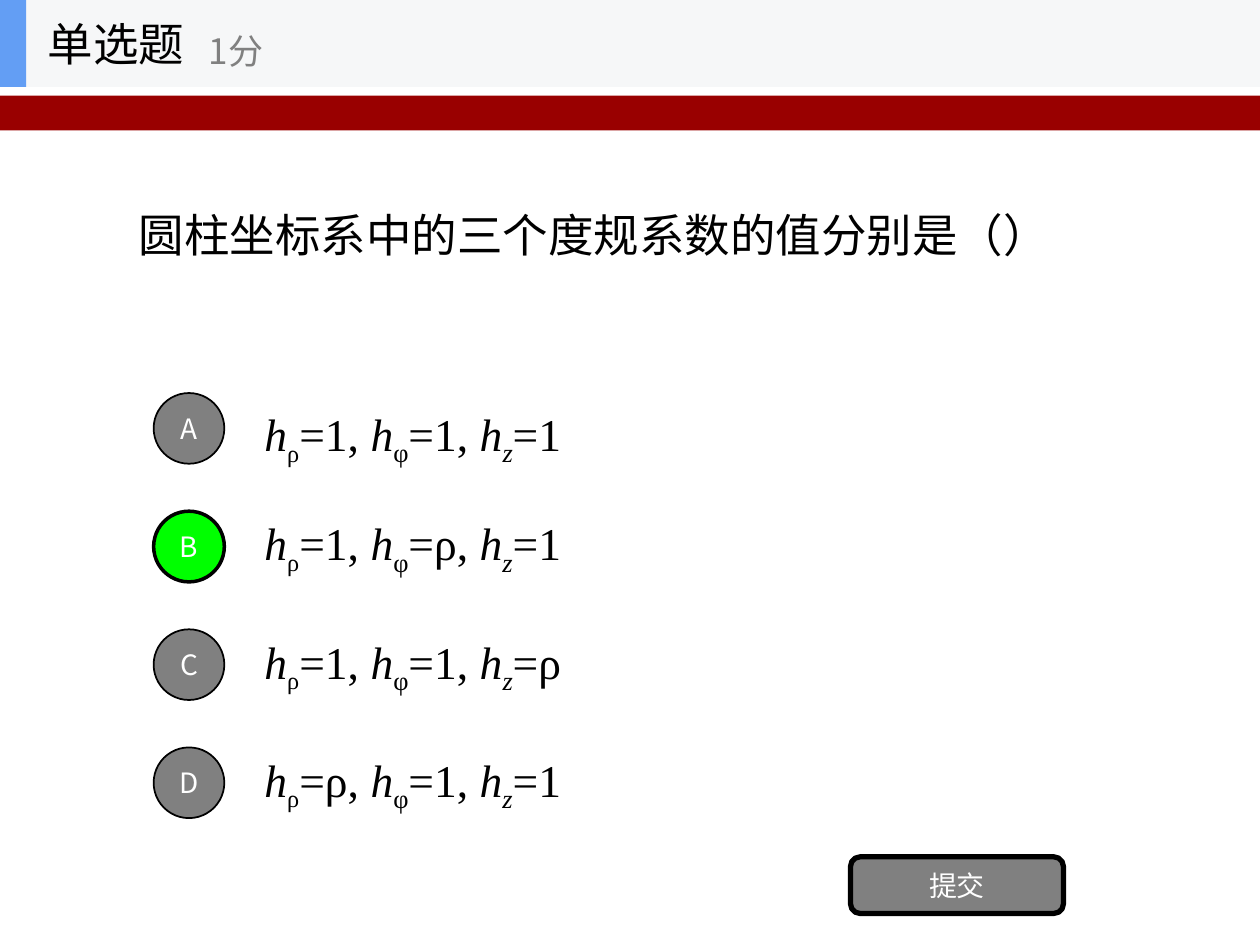
"""Build a single-choice quiz slide on the scale factors of cylindrical coordinates."""
from dataclasses import dataclass

from lxml.etree import SubElement
from pptx import Presentation
from pptx.dml.color import RGBColor
from pptx.enum.shapes import MSO_SHAPE
from pptx.enum.text import MSO_ANCHOR, MSO_AUTO_SIZE, PP_ALIGN
from pptx.oxml.ns import qn
from pptx.util import Pt


@dataclass(frozen=True)
class Theme:
    black: str = "000000"
    white: str = "FFFFFF"
    gray: str = "808080"
    correct: str = "00FF00"
    banner: str = "990000"
    header: str = "F6F7F8"
    accent: str = "639EF4"
    cjk: str = "Noto Sans CJK SC"
    math: str = "Times New Roman"
    body: int = 26
    subscript: int = 24
    points: int = 20
    button: int = 16


def add_text(holder, runs, font, color, align=PP_ALIGN.LEFT):
    frame = holder.text_frame
    frame.word_wrap = True
    frame.auto_size = MSO_AUTO_SIZE.NONE
    frame.vertical_anchor = MSO_ANCHOR.MIDDLE
    paragraph = frame.paragraphs[0]
    paragraph.alignment = align
    for text, size, italic, baseline in runs:
        run = paragraph.add_run()
        run.text = text
        run.font.size = Pt(size)
        run.font.name = font
        run.font.italic = italic
        run.font.color.rgb = RGBColor.from_string(color)
        properties = run.font._element
        SubElement(properties, qn("a:ea")).set("typeface", font)
        if baseline:
            properties.set("baseline", str(baseline * 1000))


def add_block(shapes, kind, box, fill, line_width=0):
    block = shapes.add_shape(kind, *map(Pt, box))
    block.shadow.inherit = False
    block.fill.solid()
    block.fill.fore_color.rgb = RGBColor.from_string(fill)
    if line_width:
        block.line.color.rgb = RGBColor.from_string(theme.black)
        block.line.width = Pt(line_width)
    else:
        block.line.fill.background()
    return block


theme = Theme()
deck = Presentation()
deck.slide_width, deck.slide_height = Pt(720), Pt(540)
slide = deck.slides.add_slide(deck.slide_layouts[5])
shapes = slide.shapes

question = shapes.title
question.left, question.top, question.width, question.height = map(Pt, (72, 49.7, 576, 168.5))
add_text(question, [("圆柱坐标系中的三个度规系数的值分别是（）", theme.body, False, 0)],
         theme.cjk, theme.black)

for band, color in [
    ((0, 54.7, 720, 19.8), theme.banner),
    ((0, 0, 720, 49.7), theme.header),
    ((0, 0, 15, 49.7), theme.accent),
]:
    add_block(shapes, MSO_SHAPE.RECTANGLE, band, color)

for label, box, size, color in [
    ("单选题", (20.2, 0, 150, 49.7), theme.body, theme.black),
    ("1分", (112.3, 8.6, 180, 40.3), theme.points, theme.gray),
]:
    header_label = shapes.add_textbox(*map(Pt, box))
    add_text(header_label, [(label, size, False, 0)], theme.cjk, color)

first_top, row_pitch, diameter, answer_height = 224.6, 67.5, 40.4, 50.4
answers = [("A", "1", "1", "1"), ("B", "1", "ρ", "1"), ("C", "1", "1", "ρ"), ("D", "ρ", "1", "1")]
for row, (letter, h_rho, h_phi, h_z) in enumerate(answers):
    top = first_top + row * row_pitch
    is_correct = letter == "B"
    marker = add_block(shapes, MSO_SHAPE.OVAL, (87.8, top, diameter, diameter),
                       theme.correct if is_correct else theme.gray, 2 if is_correct else 1)
    add_text(marker, [(letter, theme.button, False, 0)], theme.cjk, theme.white, PP_ALIGN.CENTER)

    answer_top = top - (answer_height - diameter) / 2 if row else top
    answer = shapes.add_textbox(Pt(144), Pt(answer_top), Pt(504), Pt(answer_height))
    formula = []
    for index, size, italic, value in [
        ("ρ", theme.subscript, False, f"={h_rho}, "),
        ("φ", theme.body, False, f"={h_phi}, "),
        ("z", theme.body, True, f"={h_z}"),
    ]:
        formula += [("h", theme.body, True, 0), (index, size, italic, -25),
                    (value, theme.body, False, 0)]
    add_text(answer, formula, theme.math, theme.black)

submit = add_block(shapes, MSO_SHAPE.ROUNDED_RECTANGLE, (486, 489.6, 121.7, 32.4), theme.gray, 3)
submit.adjustments[0] = 0.17
add_text(submit, [("提交", theme.button, False, 0)], theme.cjk, theme.white, PP_ALIGN.CENTER)

deck.save("out.pptx")
